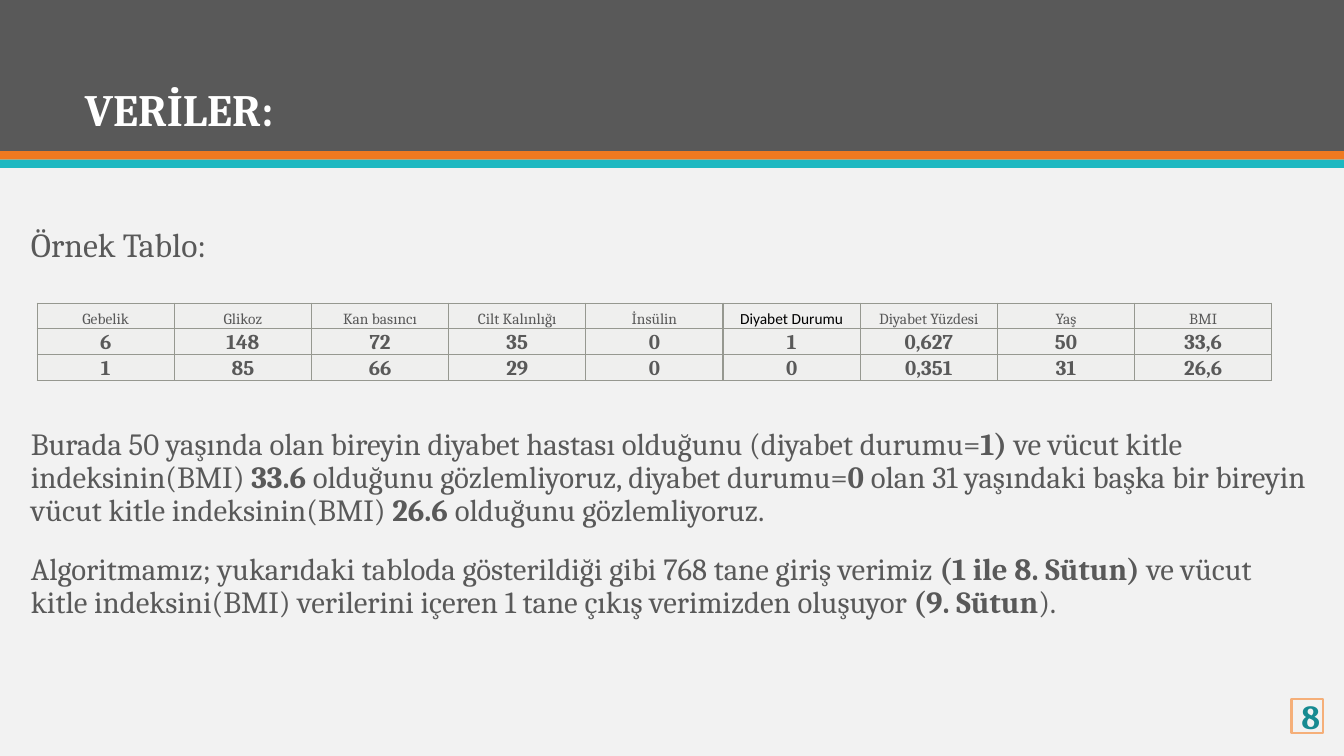
"""Build the slide with a sample table of the diabetes data."""
import dataclasses

import pptx
import pptx.dml.color
import pptx.enum.shapes
import pptx.enum.text
import pptx.oxml
import pptx.oxml.ns
import pptx.util

Pt = pptx.util.Pt
Color = pptx.dml.color.RGBColor.from_string
Align = pptx.enum.text.PP_ALIGN
Anchor = pptx.enum.text.MSO_ANCHOR


@dataclasses.dataclass(frozen=True)
class Theme:
    font: str = "Cambria"
    plain_font: str = "Calibri"
    background: str = "F2F2F2"
    gray: str = "595959"
    orange: str = "EF7920"
    turquoise: str = "1EB8C1"
    white: str = "FFFFFF"
    black: str = "000000"
    number: str = "178A91"
    number_frame: str = "F5AF79"
    cell: str = "EFEFEE"
    border: str = "969890"
    title_size: int = 32
    label_size: int = 24
    body_size: int = 22
    header_size: int = 11
    value_size: int = 15


theme = Theme()


def add_span(para, text, size, color=theme.gray, bold=False, font=theme.font):
    span = para.add_run()
    span.text = text
    span.font.name = font
    span.font.size = Pt(size)
    span.font.bold = bold
    span.font.color.rgb = Color(color)


def add_text(place, paragraphs, size, color=theme.gray, anchor=Anchor.TOP):
    box = slide.shapes.add_textbox(*map(Pt, place))
    frame = box.text_frame
    frame.word_wrap = True
    frame.vertical_anchor = anchor
    for index, spans in enumerate(paragraphs):
        para = frame.add_paragraph() if index else frame.paragraphs[0]
        para.line_spacing = 0.9
        para.space_before = Pt(18 if index else 0)
        for text, bold in spans:
            add_span(para, text, size, color, bold)


deck = pptx.Presentation()
deck.slide_width = Pt(960)
deck.slide_height = Pt(540)
slide = deck.slides.add_slide(deck.slide_layouts[6])
slide.background.fill.solid()
slide.background.fill.fore_color.rgb = Color(theme.background)

bands = [(0, 108, theme.gray), (108, 6, theme.orange), (114, 6, theme.turquoise)]
for top, height, color in bands:
    band = slide.shapes.add_shape(
        pptx.enum.shapes.MSO_SHAPE.RECTANGLE, 0, Pt(top), deck.slide_width, Pt(height))
    band.shadow.inherit = False
    band.fill.solid()
    band.fill.fore_color.rgb = Color(color)
    band.line.fill.background()

add_text((53.5, 45.5, 240, 55), [[("VERİLER:", True)]],
         theme.title_size, theme.white, Anchor.BOTTOM)
add_text((15, 160, 545, 39), [[("Örnek Tablo:", False)]], theme.label_size)

number = slide.shapes.add_shape(
    pptx.enum.shapes.MSO_SHAPE.RECTANGLE, Pt(922.5), Pt(499), Pt(22.5), Pt(24.5))
number.shadow.inherit = False
number.fill.background()
number.line.color.rgb = Color(theme.number_frame)
number.line.width = Pt(1.5)
number.text_frame.vertical_anchor = Anchor.MIDDLE
number.text_frame.paragraphs[0].alignment = Align.CENTER
add_span(number.text_frame.paragraphs[0], "8", theme.label_size, theme.number, True)

rows = [
    ["Gebelik", "Glikoz", "Kan basıncı", "Cilt Kalınlığı", "İnsülin",
     "Diyabet Durumu", "Diyabet Yüzdesi", "Yaş", "BMI"],
    ["6", "148", "72", "35", "0", "1", "0,627", "50", "33,6"],
    ["1", "85", "66", "29", "0", "0", "0,351", "31", "26,6"],
]
table = slide.shapes.add_table(
    len(rows), len(rows[0]), Pt(26.5), Pt(216.5), Pt(882), Pt(54)).table
for column in table.columns:
    column.width = Pt(98)
for row_index, texts in enumerate(rows):
    table.rows[row_index].height = Pt(18)
    for column_index, text in enumerate(texts):
        cell = table.cell(row_index, column_index)
        cell.margin_left = cell.margin_right = cell.margin_top = Pt(0.7)
        cell.margin_bottom = 0
        cell.vertical_anchor = Anchor.BOTTOM
        para = cell.text_frame.paragraphs[0]
        para.alignment = Align.CENTER
        if row_index:
            add_span(para, text, theme.value_size, bold=True)
        elif text == "Diyabet Durumu":
            add_span(para, text, theme.header_size, theme.black, font=theme.plain_font)
        else:
            add_span(para, text, theme.header_size)
        properties = cell._tc.get_or_add_tcPr()
        for side in ("lnL", "lnR", "lnT", "lnB"):
            properties.append(pptx.oxml.parse_xml(
                f'<a:{side} {pptx.oxml.ns.nsdecls("a")} w="{Pt(1)}"><a:solidFill>'
                f'<a:srgbClr val="{theme.border}"/></a:solidFill></a:{side}>'))
        cell.fill.solid()
        cell.fill.fore_color.rgb = Color(theme.cell)

explanation = [
    [("Burada 50 yaşında olan bireyin diyabet hastası olduğunu (diyabet durumu=", False),
     ("1)", True),
     (" ve vücut kitle indeksinin(BMI) ", False),
     ("33.6 ", True),
     ("olduğunu gözlemliyoruz, diyabet durumu=", False),
     ("0 ", True),
     ("olan 31 yaşındaki başka bir bireyin vücut kitle indeksinin(BMI) ", False),
     ("26.6 ", True),
     ("olduğunu gözlemliyoruz.", False)],
    [("Algoritmamız; yukarıdaki tabloda gösterildiği gibi 768 tane giriş verimiz ", False),
     ("(1 ile 8. Sütun) ", True),
     ("ve vücut kitle indeksini(BMI) verilerini içeren 1 tane çıkış verimizden oluşuyor ",
      False),
     ("(9. Sütun", True),
     (").", False)],
]
add_text((15, 302.5, 930, 231), explanation, theme.body_size)

deck.save("out.pptx")
